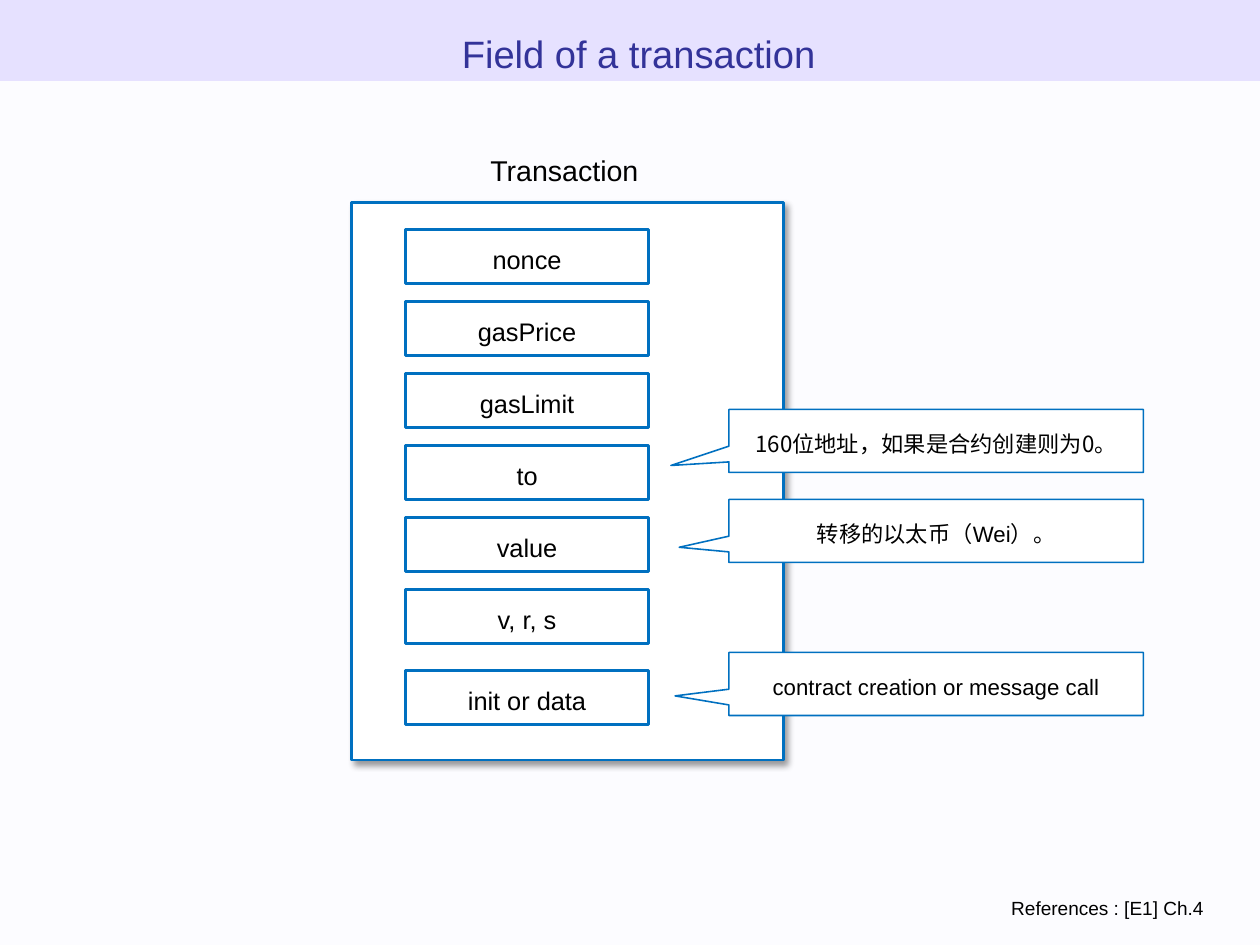
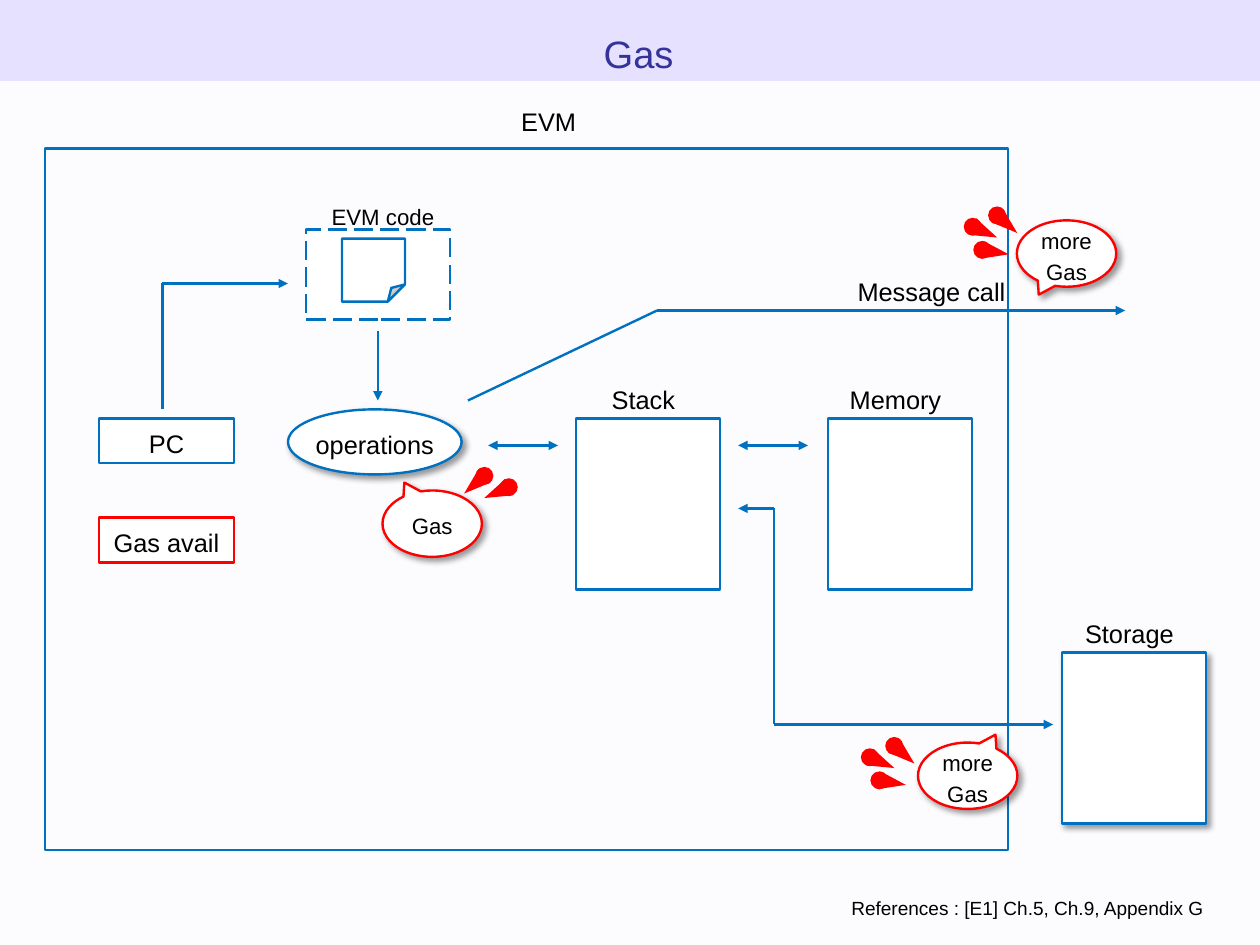
"""Build two slides on the fields of a transaction and the use of gas."""
import math

import lxml.etree
import pptx
import pptx.dml.color
import pptx.enum.dml
import pptx.enum.shapes
import pptx.enum.text
import pptx.oxml.ns
import pptx.util

Pt = pptx.util.Pt
qn = pptx.oxml.ns.qn
KIND = pptx.enum.shapes.MSO_SHAPE
ALIGN = pptx.enum.text.PP_ALIGN
ANCHOR = pptx.enum.text.MSO_ANCHOR

COLORS = {"page": "FCFCFF", "band": "E6E1FF", "title": "333399", "text": "000000",
          "white": "FFFFFF", "blue": "0070C0", "red": "FF0000"}
RGB = {name: pptx.dml.color.RGBColor.from_string(value) for name, value in COLORS.items()}
LATIN, CJK = "Arial", "Noto Sans CJK JP"
WIDTH, HEIGHT = 793.7, 595.3


def add_part(slide, kind, box, text="", size=16, fill="white", line="blue", weight=1.5,
             shadow=False, ink="text", align=ALIGN.CENTER, font=LATIN):
    box = [Pt(length) for length in box]
    if kind is None:
        part = slide.shapes.add_textbox(*box)
    else:
        part = slide.shapes.add_shape(kind, *box)
        part.shadow.inherit = False
        if shadow:
            effects = part._element.spPr.find(qn("a:effectLst"))
            outer = lxml.etree.SubElement(effects, qn("a:outerShdw"), blurRad=str(Pt(4)),
                                          dist=str(Pt(3)), dir="2700000", algn="tl")
            tint = lxml.etree.SubElement(outer, qn("a:srgbClr"), val=COLORS["text"])
            lxml.etree.SubElement(tint, qn("a:alpha"), val="40000")
        if fill:
            part.fill.solid()
            part.fill.fore_color.rgb = RGB[fill]
        else:
            part.fill.background()
        if line:
            part.line.color.rgb = RGB[line]
            part.line.width = Pt(weight)
        else:
            part.line.fill.background()
    if text:
        frame = part.text_frame
        frame.text = text
        frame.word_wrap = kind is None
        frame.vertical_anchor = ANCHOR.TOP if kind is None else ANCHOR.MIDDLE
        for paragraph in frame.paragraphs:
            paragraph.alignment = align
            paragraph.line_spacing = 1.17
            paragraph.font.size = Pt(size)
            paragraph.font.color.rgb = RGB[ink]
            paragraph.font.name = font
            default = paragraph._p.pPr.find(qn("a:defRPr"))
            lxml.etree.SubElement(default, qn("a:ea"), typeface=CJK)
    return part


def add_route(slide, points, start_arrow=False, end_arrow=True):
    last = len(points) - 2
    for index, (start, end) in enumerate(zip(points, points[1:])):
        segment = slide.shapes.add_connector(
            pptx.enum.shapes.MSO_CONNECTOR.STRAIGHT, *[Pt(v) for v in (*start, *end)])
        segment.line.color.rgb = RGB["blue"]
        segment.line.width = Pt(1.5)
        outline = segment._element.spPr.find(qn("a:ln"))
        if start_arrow and index == 0:
            lxml.etree.SubElement(outline, qn("a:headEnd"), type="triangle")
        if end_arrow and index == last:
            lxml.etree.SubElement(outline, qn("a:tailEnd"), type="triangle")
        lxml.etree.SubElement(segment._element.spPr, qn("a:effectLst"))


deck = pptx.Presentation()
deck.slide_width, deck.slide_height = Pt(WIDTH), Pt(HEIGHT)
backdrop = deck.slide_master.background.fill
backdrop.solid()
backdrop.fore_color.rgb = RGB["page"]

slides = []
for title, references in [("Field of a transaction", "References : [E1] Ch.4"),
                          ("Gas", "References : [E1] Ch.5, Ch.9, Appendix G")]:
    slide = deck.slides.add_slide(deck.slide_layouts[6])
    add_part(slide, KIND.RECTANGLE, (0, 0, WIDTH, 51), fill="band", line=None)
    add_part(slide, None, (28.3, 11, 748, 68), title, 24, ink="title")
    add_part(slide, None, (34, 558.5, 731.5, 27), references, 12, align=ALIGN.RIGHT)
    slides.append(slide)
transaction, gas = slides

add_part(transaction, KIND.RECTANGLE, (221.5, 127.5, 272, 351.5), shadow=True)
add_part(transaction, None, (252, 89, 207, 32), "Transaction", 18)
fields = ["nonce", "gasPrice", "gasLimit", "to", "value", "v, r, s", "init or data"]
for row, field in enumerate(fields):
    extra_gap = 5.7 if field == fields[-1] else 0
    add_part(transaction, KIND.RECTANGLE,
             (255.4, 144.6 + 45.35 * row + extra_gap, 153.2, 34), field)
for top, tip_x, tip_y, remark, font in [
        (314.6, -0.62, 0.26, "转移的以太币（Wei）。", LATIN),
        (257.9, -0.64, 0.39, "160位地址，如果是合约创建则为0。", CJK),
        (411, -0.63, 0.19, "contract creation or message call", LATIN)]:
    callout = add_part(transaction, KIND.RECTANGULAR_CALLOUT, (459.2, top, 261, 39.7),
                       remark, 14, weight=1, font=font)
    callout.adjustments[0], callout.adjustments[1] = tip_x, tip_y

add_part(gas, KIND.RECTANGLE, (28.3, 93.6, 606.7, 442), fill=None)
add_part(gas, None, (260.6, 60, 170, 34), "EVM")
code_frame = add_part(gas, KIND.RECTANGLE, (192.8, 144.6, 90.7, 56.7))
code_frame.line.dash_style = pptx.enum.dml.MSO_LINE.LONG_DASH
code_page = add_part(gas, KIND.FOLDED_CORNER, (215.4, 150.3, 39.7, 39.7))
page_fold = code_page._element.spPr.find(qn("a:prstGeom")).get_or_add_avLst()
for guide in list(page_fold):
    page_fold.remove(guide)
lxml.etree.SubElement(page_fold, qn("a:gd"), name="adj", fmla="val 27200")
add_part(gas, None, (198.7, 121.7, 85, 28), "EVM code", 14)
add_part(gas, None, (521.6, 167, 130.4, 34), "Message call")

for store, left, top, shadow in [("Stack", 362.8, 263.6, False),
                                 ("Memory", 521.6, 263.6, False),
                                 ("Storage", 669, 411, True)]:
    add_part(gas, KIND.RECTANGLE, (left, top, 90.7, 107.7), shadow=shadow)
    add_part(gas, None, (left - 22.7, top - 28.4, 130.4, 34), store)
for counter, top, line in [("PC", 263.6, "blue"), ("Gas avail", 326, "red")]:
    add_part(gas, KIND.RECTANGLE, (62.4, top, 85, 28.3), counter, line=line)
add_part(gas, KIND.OVAL, (181.4, 257.9, 109.4, 41), "operations", shadow=True)

add_route(gas, [(102.3, 257.9), (102.3, 178.6), (181.4, 178.6)])
add_route(gas, [(238, 208.7), (238, 252.3)])
add_route(gas, [(294.8, 252.3), (413.9, 195.6), (708.7, 195.6)])
add_route(gas, [(307.5, 280.6), (351.5, 280.6)], start_arrow=True)
add_route(gas, [(465, 280.6), (509, 280.6)], start_arrow=True)
add_route(gas, [(465, 320.3), (487.6, 320.3), (487.6, 456.4), (663.4, 456.4)],
          start_arrow=True)

for left, top, tip_x, tip_y, cost in [(640.6, 138.8, -0.28, 0.62, "more\nGas"),
                                      (241, 309, -0.28, -0.62, "Gas"),
                                      (578.3, 467.8, 0.28, -0.62, "more\nGas")]:
    bubble = add_part(gas, KIND.OVAL_CALLOUT, (left, top, 62.6, 41.8), cost, 14,
                      line="red", shadow=True)
    bubble.adjustments[0], bubble.adjustments[1] = tip_x, tip_y
    bubble.text_frame.margin_top = bubble.text_frame.margin_bottom = 0

drops = [(0, 0, 131.1), (14, 5, 113.8), (7.4, 17.6, 99.7)]
for origin_x, origin_y, side, count in [(634.4, 141.2, -1, 3), (298.8, 305.3, 1, 2),
                                        (569.6, 475.4, -1, 3)]:
    for shift_x, shift_y, angle in drops[:count]:
        turn = angle if side < 0 else 360 - angle
        x, y = origin_x + side * shift_x, origin_y + shift_y
        tail = add_part(gas, KIND.ISOSCELES_TRIANGLE, (x - 5.65, y - 8.5, 11.3, 17),
                        fill="red", line=None)
        tail.rotation = turn
        head_x = x - 8.4 * math.sin(math.radians(turn))
        head_y = y + 8.4 * math.cos(math.radians(turn))
        add_part(gas, KIND.OVAL, (head_x - 5.65, head_y - 5.65, 11.3, 11.3),
                 fill="red", line=None)

deck.save("out.pptx")
